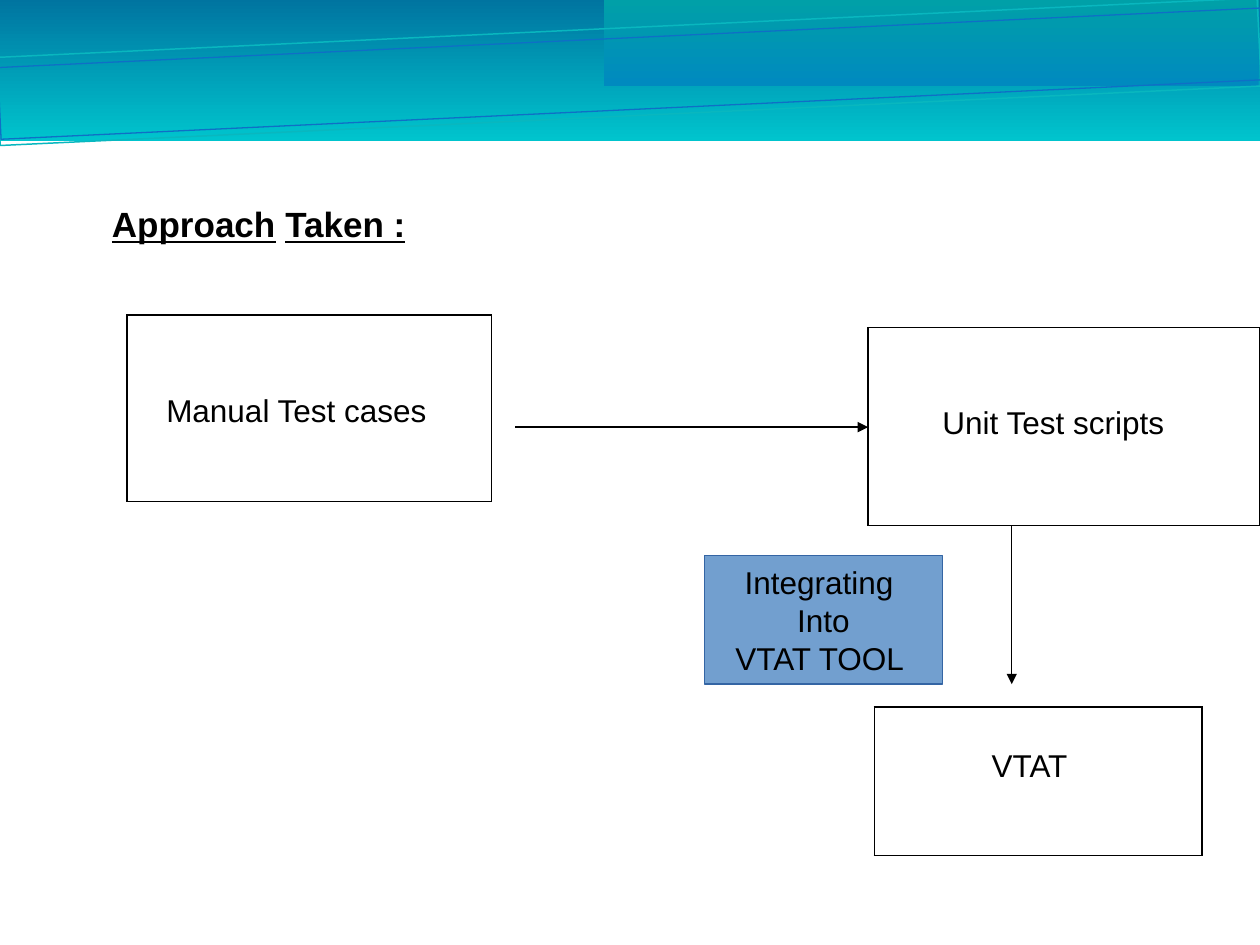
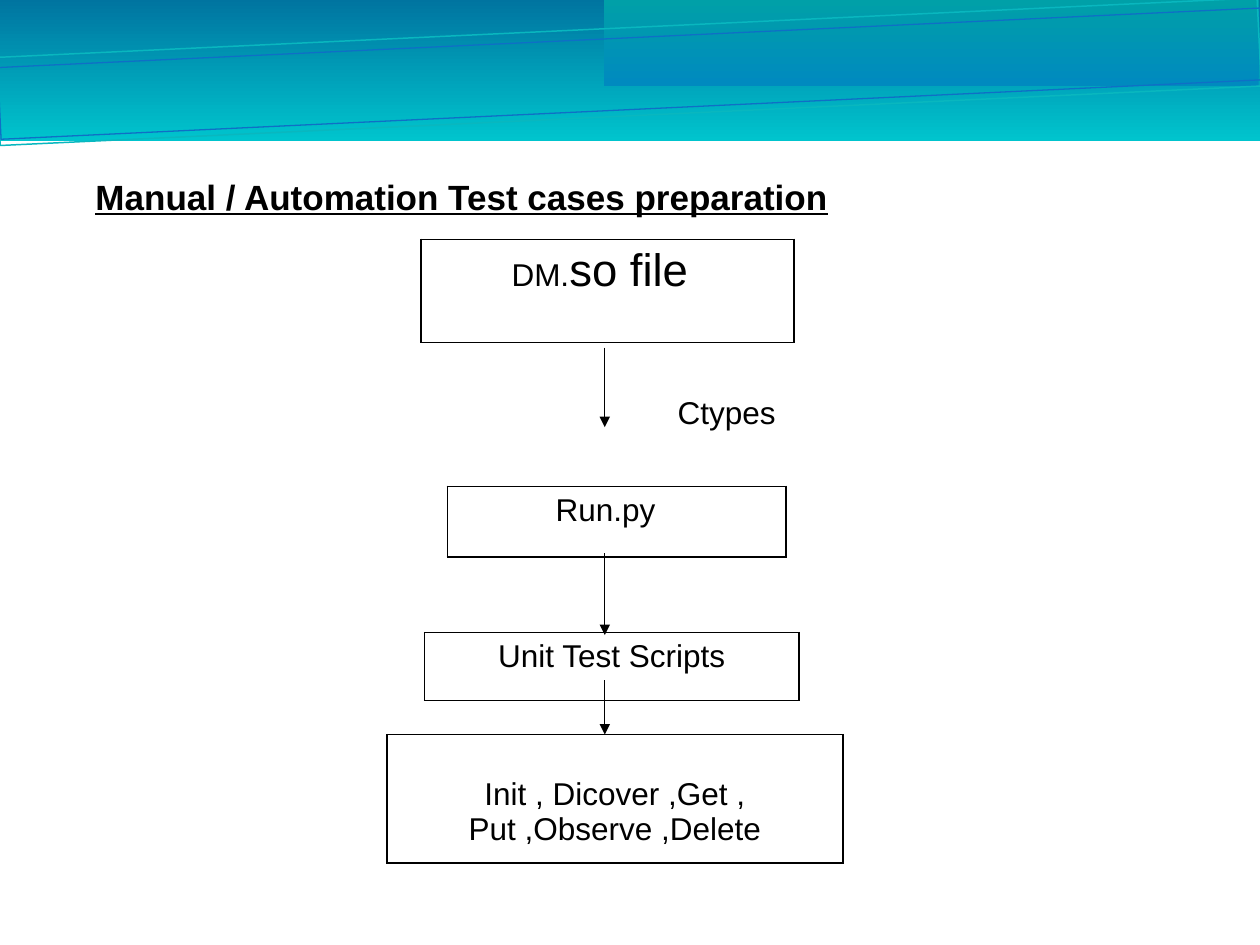
"""Build two slides on the test approach and test case preparation."""
import dataclasses

import lxml.etree
import pptx
import pptx.dml.color
import pptx.enum.shapes
import pptx.enum.text
import pptx.oxml
import pptx.oxml.ns
import pptx.util

COLUMNS, ROWS = 100, 75
FONT = "Arial"
INK, NOTE_FILL, NOTE_EDGE = "000000", "729FCF", "3465A4"
BAND_DARK, BAND_LIGHT = "0074A0", "00C4CD"
PANEL_LOW, PANEL_HIGH = "008ABF", "00A0A8"
RIBBON_OUTER, RIBBON_INNER = "09B7BF", "0F6FC6"
RIBBON_TILT = 357.3
BODY_SIZE, TITLE_SIZE, FILE_SIZE = 18, 20, 26
LINE_ROWS = 2.87
RECTANGLE = pptx.enum.shapes.MSO_SHAPE.RECTANGLE
CENTER = pptx.enum.text.PP_ALIGN.CENTER

deck = pptx.Presentation()
deck.slide_width = pptx.util.Inches(10)
deck.slide_height = pptx.util.Inches(7.5)


def across(columns):
    """Convert grid columns to a length."""
    return round(deck.slide_width * columns / COLUMNS)


def down(rows):
    """Convert grid rows to a length."""
    return round(deck.slide_height * rows / ROWS)


def colour(value):
    """Turn a hex string into a colour."""
    return pptx.dml.color.RGBColor.from_string(value)


@dataclasses.dataclass
class Box:
    """A region measured in grid columns and rows."""

    left: float
    top: float
    width: float
    height: float

    def within(self, left, top, width, height):
        """Return a region placed relative to this one."""
        return Box(self.left + left, self.top + top, width, height)

    def lengths(self):
        """Return left, top, width and height as lengths."""
        return across(self.left), down(self.top), across(self.width), down(self.height)


def style(font, size=BODY_SIZE, strong=None):
    """Give a font the deck's face and colour."""
    font.name, font.size = FONT, pptx.util.Pt(size)
    font.color.rgb = colour(INK)
    font.bold = strong


def rectangle(slide, box, edge=None, weight=0.75, tilt=0):
    """Add an unfilled rectangle with an optional outline."""
    panel = slide.shapes.add_shape(RECTANGLE, *box.lengths())
    panel.shadow.inherit = False
    panel.rotation = tilt
    panel.fill.background()
    if edge:
        panel.line.color.rgb = colour(edge)
        panel.line.width = pptx.util.Pt(weight)
    else:
        panel.line.fill.background()
    return panel


def header(slide, box):
    """Draw the gradient band, its corner panel and the tilted ribbons."""
    for place, start, end, angle in (
        ((-0.1, -0.1, 100.2, 11.3), BAND_DARK, BAND_LIGHT, 270),
        ((47.9, -0.1, 52, 6.9), PANEL_LOW, PANEL_HIGH, 90),
    ):
        fill = rectangle(slide, box.within(*place)).fill
        fill.gradient()
        fill.gradient_angle = angle
        for stop, shade, position in zip(fill.gradient_stops, (start, end), (0, 1)):
            stop.color.rgb = colour(shade)
            stop.position = position
    rectangle(slide, box.within(-0.2, 2.2, 100.2, 7), RIBBON_OUTER, 0.85, RIBBON_TILT)
    rectangle(slide, box.within(-0.1, 3, 100.3, 5.7), RIBBON_INNER, 0.74, RIBBON_TILT)


def caption(slide, box):
    """Add a wrapping text box and return its first paragraph."""
    frame = slide.shapes.add_textbox(*box.lengths()).text_frame
    frame.word_wrap = True
    return frame.paragraphs[0]


def title(slide, box, pieces):
    """Write the bold heading, underlining each piece but not the gaps."""
    heading = caption(slide, box)
    for index, piece in enumerate(pieces):
        if index:
            style(heading.add_run().font, TITLE_SIZE, True)
            heading.runs[-1].text = " "
        words = heading.add_run()
        words.text = piece
        style(words.font, TITLE_SIZE, True)
        words.font.underline = True


def step(slide, box, text, indent=None, skipped=0):
    """Add a bordered one-cell table, indented or centred, and return its paragraph."""
    table = slide.shapes.add_table(1, 1, *box.lengths()).table
    table.first_row = table.horz_banding = False
    cell = table.cell(0, 0)
    cell.fill.background()
    properties = cell._tc.get_or_add_tcPr()
    for index, side in enumerate(("lnL", "lnR", "lnT", "lnB")):
        border = pptx.oxml.parse_xml(
            f'<a:{side} {pptx.oxml.ns.nsdecls("a")} w="12700"><a:solidFill>'
            f'<a:srgbClr val="{INK}"/></a:solidFill></a:{side}>'
        )
        properties.insert(index, border)
    cell.margin_top = down(0.5 + skipped * LINE_ROWS)
    cell.text_frame.text = text
    label = cell.text_frame.paragraphs[0]
    style(label.font)
    if indent is None:
        label.alignment = CENTER
    else:
        cell.margin_left = across(indent)
    return label


def arrow(slide, box):
    """Draw an arrow from the box's top left to its bottom right."""
    left, top, width, height = box.lengths()
    link = slide.shapes.add_connector(
        pptx.enum.shapes.MSO_CONNECTOR.STRAIGHT, left, top, left + width, top + height
    )
    link.line.color.rgb = colour(INK)
    link.line.width = pptx.util.Pt(0.75)
    tip = lxml.etree.SubElement(link.line._get_or_add_ln(), pptx.oxml.ns.qn("a:tailEnd"))
    tip.set("type", "triangle")
    lxml.etree.SubElement(link._element.spPr, pptx.oxml.ns.qn("a:effectLst"))


def note(slide, box, lines):
    """Add the filled note with centred lines."""
    panel = rectangle(slide, box, NOTE_EDGE)
    panel.fill.solid()
    panel.fill.fore_color.rgb = colour(NOTE_FILL)
    frame = panel.text_frame
    frame.word_wrap = False
    frame.vertical_anchor = pptx.enum.text.MSO_ANCHOR.MIDDLE
    frame.text = "\n".join(lines)
    for paragraph in frame.paragraphs:
        paragraph.alignment = CENTER
        style(paragraph.font)


def approach_flow(slide, box):
    """Show manual cases becoming unit scripts and then entering the tool."""
    step(slide, box.within(0, 0, 28.9, 14.8), "Manual Test cases", 3.1, 2)
    arrow(slide, box.within(30.8, 8.9, 28, 0))
    step(slide, box.within(58.8, 1, 31.1, 15.7), "Unit Test scripts", 5.9, 2)
    arrow(slide, box.within(70.2, 16.7, 0, 12.6))
    step(slide, box.within(59.3, 31.1, 26, 11.8), "VTAT", 9.3, 1)
    note(slide, box.within(45.8, 19.1, 18.9, 10.2), ("Integrating ", "Into", "VTAT TOOL "))


def preparation_chain(slide, box):
    """Show the chain from the library file down to the tested calls."""
    library = step(slide, box.within(2.7, 0, 29.6, 8.2), "DM.", 7.2)
    suffix = library.add_run()
    suffix.text = "so file"
    suffix.font.size = pptx.util.Pt(FILE_SIZE)
    step(slide, box.within(4.8, 19.6, 26.9, 5.6), "Run.py", 8.6)
    bridge = caption(slide, box.within(22.1, 11.7, 11.8, 4.7))
    bridge.text = "Ctypes"
    style(bridge.font)
    step(slide, box.within(3, 31.2, 29.7, 5.4), "Unit Test Scripts")
    calls = "Init , Dicover ,Get ,\vPut ,Observe ,Delete"
    step(slide, box.within(0, 39.3, 36.2, 10.2), calls, skipped=1)
    for top, length in ((8.6, 6.3), (24.9, 6.5), (35, 4.3)):
        arrow(slide, box.within(17.3, top, 0, length))


def add_page(title_box, pieces, flow, flow_box):
    """Add one slide with the header, its heading and its flow."""
    slide = deck.slides.add_slide(deck.slide_layouts[6])
    header(slide, Box(0, 0, COLUMNS, ROWS))
    title(slide, title_box, pieces)
    flow(slide, flow_box)


add_page(Box(7.9, 15.6, 89, 57.7), ("Approach", "Taken :"),
         approach_flow, Box(10.1, 25, 89.9, 42.9))
add_page(Box(6.6, 13.4, 91, 55.1), ("Manual / Automation Test cases preparation",),
         preparation_chain, Box(30.7, 19, 36.2, 49.5))
deck.save("out.pptx")
